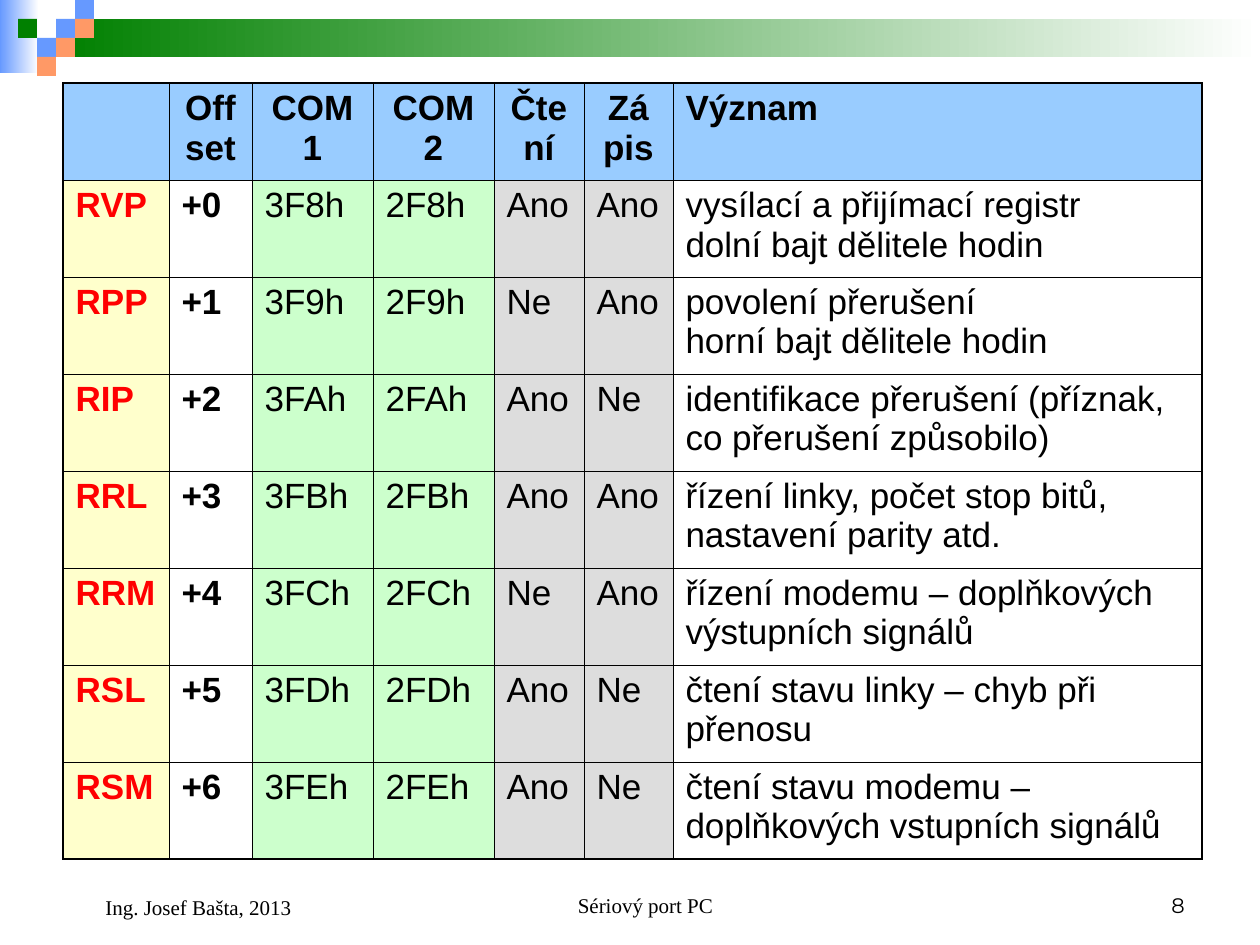
from pptx import Presentation
from pptx.dml.color import RGBColor
from pptx.enum.shapes import MSO_SHAPE
from pptx.enum.text import MSO_ANCHOR, PP_ALIGN
from pptx.oxml.ns import qn
from pptx.util import Emu, Pt
from lxml import etree

RECTANGLE = MSO_SHAPE.RECTANGLE
BOTTOM = MSO_ANCHOR.BOTTOM
LEFT, CENTER, RIGHT = PP_ALIGN.LEFT, PP_ALIGN.CENTER, PP_ALIGN.RIGHT

WHITE = RGBColor(0xFF, 0xFF, 0xFF)
BLACK = RGBColor(0x00, 0x00, 0x00)
RED = RGBColor(0xFF, 0x00, 0x00)
BLUE = RGBColor(0x66, 0x99, 0xFF)
GREEN = RGBColor(0x00, 0x80, 0x00)
ORANGE = RGBColor(0xFF, 0x99, 0x66)
HEADER_BLUE = RGBColor(0x99, 0xCC, 0xFF)
NAME_YELLOW = RGBColor(0xFF, 0xFF, 0xCC)
PORT_GREEN = RGBColor(0xCC, 0xFF, 0xCC)
ACCESS_GRAY = RGBColor(0xDD, 0xDD, 0xDD)

EMU_PER_PX = 914400 / 126
SQUARE = 19
SQUARES = [
    (3, 1, BLUE), (4, 0, BLUE), (4, 1, ORANGE), (2, 2, BLUE),
    (1, 1, GREEN), (3, 2, ORANGE), (2, 3, ORANGE),
]

COLUMN_WIDTHS = [106, 83, 121, 121, 90, 89, 529]
COLUMN_FILLS = [NAME_YELLOW, None, PORT_GREEN, PORT_GREEN, ACCESS_GRAY, ACCESS_GRAY, None]
ROW_HEIGHT = 97
THIN, THICK = 0.45, 1.08
HEADER = ["", "Offset", "COM1", "COM2", "Čtení", "Zá\npis", "Význam"]
REGISTERS = [
    ("RVP", "+0", "3F8h", "2F8h", "Ano", "Ano", "vysílací a přijímací registr\ndolní bajt dělitele hodin"),
    ("RPP", "+1", "3F9h", "2F9h", "Ne", "Ano", "povolení přerušení \nhorní bajt dělitele hodin"),
    ("RIP", "+2", "3FAh", "2FAh", "Ano", "Ne", "identifikace přerušení (příznak, co přerušení způsobilo)"),
    ("RRL", "+3", "3FBh", "2FBh", "Ano", "Ano", "řízení linky, počet stop bitů, nastavení parity atd."),
    ("RRM", "+4", "3FCh", "2FCh", "Ne", "Ano", "řízení modemu – doplňkových výstupních signálů"),
    ("RSL", "+5", "3FDh", "2FDh", "Ano", "Ne", "čtení stavu linky – chyb při přenosu"),
    ("RSM", "+6", "3FEh", "2FEh", "Ano", "Ne", "čtení stavu modemu – doplňkových vstupních signálů"),
]


def px(length):
    return Emu(round(length * EMU_PER_PX))


def add_text(paragraph, text, font_name, size, color=BLACK, bold=False):
    for index, line in enumerate(text.split("\n")):
        if index:
            paragraph.add_line_break()
        run = paragraph.add_run()
        run.text = line
        run.font.name = font_name
        run.font.size = Pt(size)
        run.font.bold = bold
        run.font.color.rgb = color


def add_block(group, left, top, width, height, color, fading=False):
    shape = group.shapes.add_shape(RECTANGLE, px(left), px(top), px(width), px(height))
    shape.shadow.inherit = False
    shape.line.fill.background()
    if fading:
        shape.fill.gradient()
        shape.fill.gradient_angle = 180
        for stop, stop_color in zip(shape.fill.gradient_stops, (WHITE, color)):
            stop.color.rgb = stop_color
    else:
        shape.fill.solid()
        shape.fill.fore_color.rgb = color


def add_banner(slide, left, top, width):
    group = slide.shapes.add_group_shape()
    bar_left = 3 * SQUARE
    add_block(group, left, top, 39, 73, BLUE, fading=True)
    add_block(group, left + bar_left, top + SQUARE, width - bar_left, 2 * SQUARE, GREEN, fading=True)
    for column, row, color in SQUARES:
        add_block(group, left + column * SQUARE - 1, top + row * SQUARE, SQUARE, SQUARE, color)


def set_borders(cell, widths):
    properties = cell._tc.get_or_add_tcPr()
    for index, (side, width) in enumerate(widths.items()):
        line = etree.Element(qn("a:" + side), w=str(Pt(width)))
        fill = etree.SubElement(line, qn("a:solidFill"))
        etree.SubElement(fill, qn("a:srgbClr"), val=str(BLACK))
        properties.insert(index, line)


def add_register_table(slide, left, top):
    rows = [HEADER, *REGISTERS]
    last_row, last_column = len(rows) - 1, len(HEADER) - 1
    table = slide.shapes.add_table(
        len(rows), len(HEADER), px(left), px(top),
        px(sum(COLUMN_WIDTHS)), px(ROW_HEIGHT * len(rows)),
    ).table
    table.first_row = False
    table.horz_banding = False
    for column, width in zip(table.columns, COLUMN_WIDTHS):
        column.width = px(width)
    for row_index, values in enumerate(rows):
        table.rows[row_index].height = px(ROW_HEIGHT)
        is_header = row_index == 0
        for column_index, value in enumerate(values):
            cell = table.cell(row_index, column_index)
            fill_color = HEADER_BLUE if is_header else COLUMN_FILLS[column_index]
            if fill_color is None:
                cell.fill.background()
            else:
                cell.fill.solid()
                cell.fill.fore_color.rgb = fill_color
            set_borders(cell, {
                "lnL": THICK if column_index == 0 else THIN,
                "lnR": THICK if column_index == last_column else THIN,
                "lnT": THICK if is_header else THIN,
                "lnB": THICK if row_index == last_row else THIN,
            })
            paragraph = cell.text_frame.paragraphs[0]
            paragraph.alignment = CENTER if is_header and column_index < last_column else LEFT
            if value:
                color = RED if column_index == 0 else BLACK
                add_text(paragraph, value, "Arial", 20, color, is_header or column_index < 2)


def add_footer(slide, left, top, width, height, text, alignment, font_name, indent=0):
    text_box = slide.shapes.add_textbox(px(left), px(top), px(width), px(height))
    frame = text_box.text_frame
    frame.word_wrap = True
    frame.vertical_anchor = BOTTOM
    paragraph = frame.paragraphs[0]
    paragraph.alignment = alignment
    paragraph._p.get_or_add_pPr().set("marL", str(px(indent)))
    add_text(paragraph, text, font_name, 12)


def main():
    presentation = Presentation()
    presentation.slide_width = px(1260)
    presentation.slide_height = px(945)
    slide = presentation.slides.add_slide(presentation.slide_layouts[6])
    add_banner(slide, 0, 0, 1260)
    add_register_table(slide, 63, 83)
    add_footer(slide, 431, 861, 399, 63, "Sériový port PC", CENTER, "Times New Roman", 30)
    add_footer(slide, 903, 861, 294, 63, "8", RIGHT, "Montserrat")
    add_footer(slide, 63, 861, 294, 65, "Ing. Josef Bašta, 2013", LEFT, "Times New Roman", 30)
    presentation.save("out.pptx")


if __name__ == "__main__":
    main()
